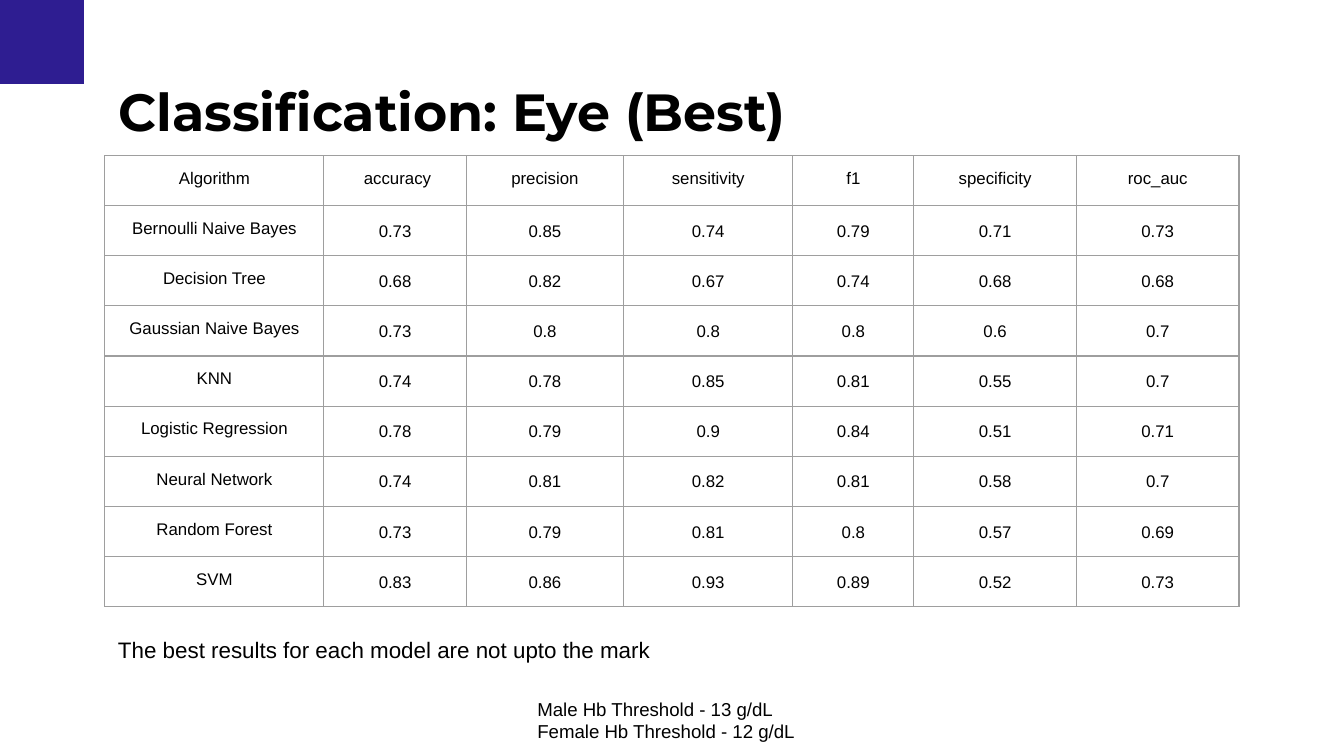
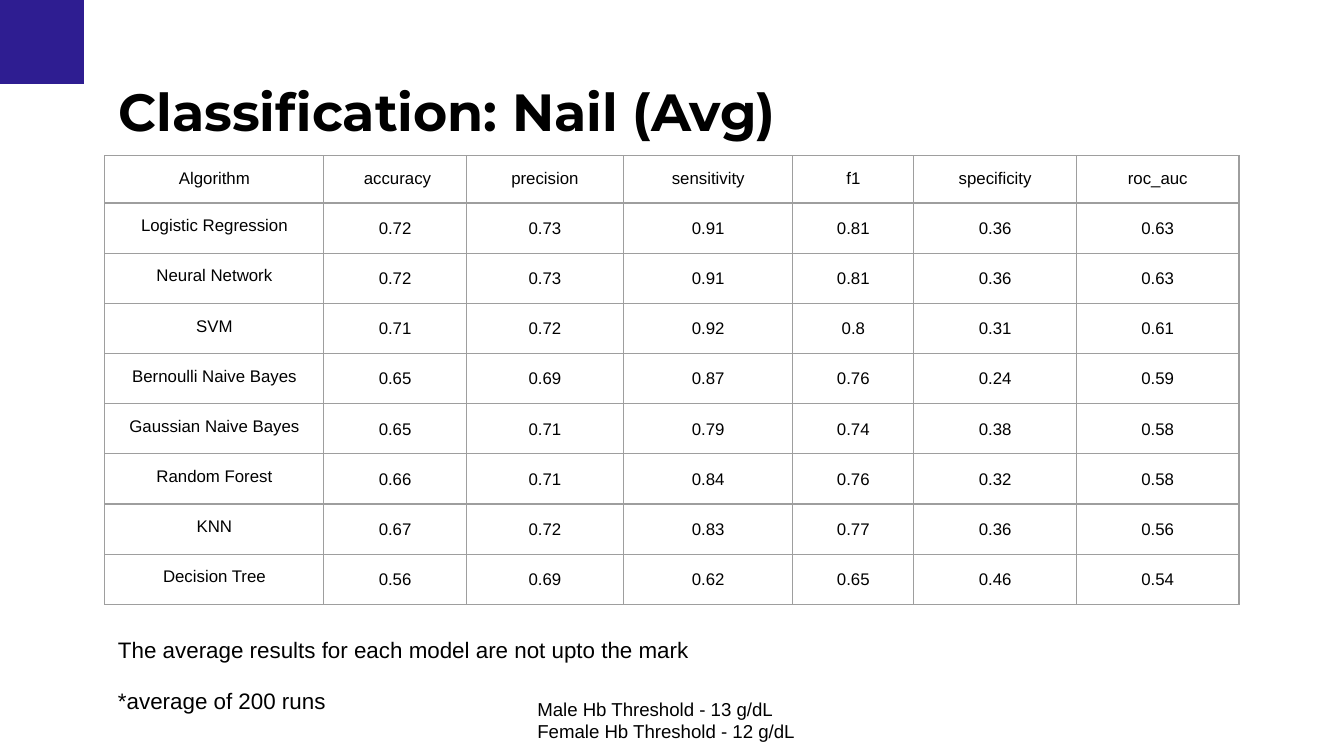
from dataclasses import dataclass

from lxml import etree
from pptx import Presentation
from pptx.dml.color import RGBColor
from pptx.enum.shapes import MSO_SHAPE
from pptx.enum.text import MSO_ANCHOR, MSO_AUTO_SIZE, PP_ALIGN
from pptx.oxml.ns import qn
from pptx.util import Inches, Pt

RECTANGLE = MSO_SHAPE.RECTANGLE
TOP = MSO_ANCHOR.TOP
GROW, FIXED = MSO_AUTO_SIZE.SHAPE_TO_FIT_TEXT, MSO_AUTO_SIZE.NONE
LEFT, CENTER = PP_ALIGN.LEFT, PP_ALIGN.CENTER

# Content
METRICS = (" accuracy", "precision", "sensitivity", "f1", "specificity", "roc_auc")
THRESHOLDS = "Male Hb Threshold - 13 g/dL\nFemale Hb Threshold - 12 g/dL"
SLIDES = [
    {
        "title": "Classification: Eye (Best)",
        "row_height": 0.37,
        "scores": {
            "Bernoulli Naive Bayes": (0.73, 0.85, 0.74, 0.79, 0.71, 0.73),
            "Decision Tree": (0.68, 0.82, 0.67, 0.74, 0.68, 0.68),
            "Gaussian Naive Bayes": (0.73, 0.8, 0.8, 0.8, 0.6, 0.7),
            "KNN": (0.74, 0.78, 0.85, 0.81, 0.55, 0.7),
            "Logistic Regression": (0.78, 0.79, 0.9, 0.84, 0.51, 0.71),
            "Neural Network": (0.74, 0.81, 0.82, 0.81, 0.58, 0.7),
            "Random Forest": (0.73, 0.79, 0.81, 0.8, 0.57, 0.69),
            "SVM": (0.83, 0.86, 0.93, 0.89, 0.52, 0.73),
        },
        "finding": "The best results for each model are not upto the mark",
        "footnote": None,
    },
    {
        "title": "Classification: Nail (Avg)",
        "row_height": 0.35,
        "scores": {
            "Logistic Regression": (0.72, 0.73, 0.91, 0.81, 0.36, 0.63),
            "Neural Network": (0.72, 0.73, 0.91, 0.81, 0.36, 0.63),
            "SVM": (0.71, 0.72, 0.92, 0.8, 0.31, 0.61),
            "Bernoulli Naive Bayes": (0.65, 0.69, 0.87, 0.76, 0.24, 0.59),
            "Gaussian Naive Bayes": (0.65, 0.71, 0.79, 0.74, 0.38, 0.58),
            "Random Forest": (0.66, 0.71, 0.84, 0.76, 0.32, 0.58),
            "KNN": (0.67, 0.72, 0.83, 0.77, 0.36, 0.56),
            "Decision Tree": (0.56, 0.69, 0.62, 0.65, 0.46, 0.54),
        },
        "finding": "The average results for each model are not upto the mark",
        "footnote": "*average of 200 runs",
    },
]


@dataclass(frozen=True)
class Theme:
    accent: str = "2E1D91"
    ink: str = "000000"
    grid: str = "9E9E9E"
    title_font: str = "Montserrat"
    body_font: str = "Arial"
    title_size: int = 28
    note_size: int = 12
    threshold_size: int = 10
    table_size: int = 9
    grid_width: float = 0.75


THEME = Theme()

# Layout, in inches
WIDTH = 10
HEIGHT = WIDTH * 9 / 16
MARGIN = 0.78
INSET = 0.1
CORNER = WIDTH / 16
CONTENT_WIDTH = WIDTH - 2 * MARGIN
TITLE_BOX = (MARGIN, 0.49, CONTENT_WIDTH, 0.67)
TABLE_TOP = 1.16
COLUMN_WIDTHS = (1.63, 1.06, 1.17, 1.26, 0.9, 1.21, 1.21)
THRESHOLD_WIDTH = 2.2
THRESHOLD_BOX = ((WIDTH - THRESHOLD_WIDTH) / 2, 5.09, THRESHOLD_WIDTH, 0.54)
FINDING_BOX = (MARGIN, 4.63, 5.26, 0.4)
FOOTNOTE_BOX = (MARGIN, 5.01, 1.76, 0.45)


def style_text(frame, size, font=THEME.body_font, bold=False, align=LEFT, spacing=None):
    for para in frame.paragraphs:
        para.alignment = align
        if spacing:
            para.line_spacing = spacing
        for span in para.runs:
            span.font.name = font
            span.font.size = Pt(size)
            span.font.bold = bold
            span.font.color.rgb = RGBColor.from_string(THEME.ink)


def set_frame(frame, auto_size):
    frame.word_wrap = True
    frame.auto_size = auto_size
    frame.vertical_anchor = TOP
    frame.margin_left = frame.margin_right = Inches(INSET)
    frame.margin_top = frame.margin_bottom = Inches(INSET)


def add_corner(page):
    corner = page.shapes.add_shape(RECTANGLE, 0, 0, Inches(CORNER), Inches(CORNER))
    corner.shadow.inherit = False
    corner.fill.solid()
    corner.fill.fore_color.rgb = RGBColor.from_string(THEME.accent)
    corner.line.fill.background()


def set_title(page, text):
    title = page.shapes.title
    title.left, title.top, title.width, title.height = map(Inches, TITLE_BOX)
    title.text_frame.text = text
    set_frame(title.text_frame, GROW)
    style_text(title.text_frame, THEME.title_size, THEME.title_font, bold=True)


def add_note(page, text, place, size, auto_size=GROW):
    box = page.shapes.add_textbox(*map(Inches, place))
    box.text_frame.text = text
    set_frame(box.text_frame, auto_size)
    style_text(box.text_frame, size)


def add_borders(cell):
    properties = cell._tc.get_or_add_tcPr()
    for side in ("a:lnL", "a:lnR", "a:lnT", "a:lnB"):
        line = etree.SubElement(properties, qn(side), w=str(Pt(THEME.grid_width)))
        fill = etree.SubElement(line, qn("a:solidFill"))
        etree.SubElement(fill, qn("a:srgbClr"), val=THEME.grid)


def add_scores(page, scores, row_height):
    rows = [("Algorithm", *METRICS)]
    rows += [(name, *(f"{value:g}" for value in values)) for name, values in scores.items()]
    frame = page.shapes.add_table(
        len(rows), len(COLUMN_WIDTHS), Inches(MARGIN), Inches(TABLE_TOP),
        Inches(sum(COLUMN_WIDTHS)), Inches(row_height * len(rows)))
    table = frame.table
    table.first_row = table.horz_banding = False
    for column, width in zip(table.columns, COLUMN_WIDTHS):
        column.width = Inches(width)
    for r, texts in enumerate(rows):
        table.rows[r].height = Inches(row_height)
        for c, text in enumerate(texts):
            cell = table.cell(r, c)
            cell.text_frame.text = text
            cell.margin_left = cell.margin_right = Inches(INSET)
            cell.margin_top = cell.margin_bottom = Inches(INSET)
            cell.vertical_anchor = TOP
            is_score = r > 0 and c > 0
            style_text(cell.text_frame, THEME.table_size, align=CENTER,
                       spacing=1.15 if is_score else None)
            add_borders(cell)
            cell.fill.background()


def main():
    deck = Presentation()
    deck.slide_width, deck.slide_height = Inches(WIDTH), Inches(HEIGHT)
    title_only = deck.slide_layouts[5]
    for content in SLIDES:
        page = deck.slides.add_slide(title_only)
        add_corner(page)
        set_title(page, content["title"])
        add_scores(page, content["scores"], content["row_height"])
        # Notes below the table
        add_note(page, THRESHOLDS, THRESHOLD_BOX, THEME.threshold_size)
        if content["footnote"]:
            add_note(page, content["footnote"], FOOTNOTE_BOX, THEME.note_size, FIXED)
        add_note(page, content["finding"], FINDING_BOX, THEME.note_size)
    deck.save("out.pptx")


if __name__ == "__main__":
    main()
